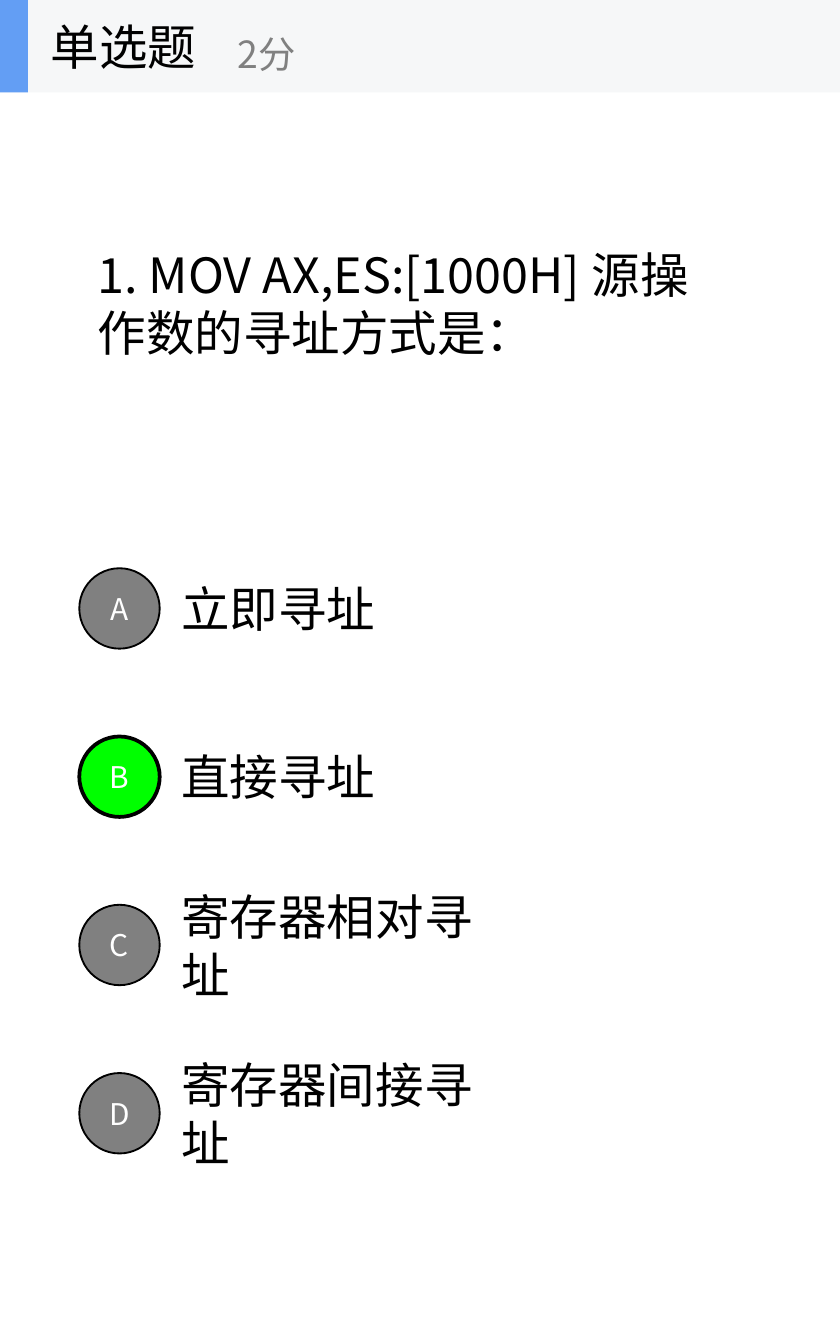
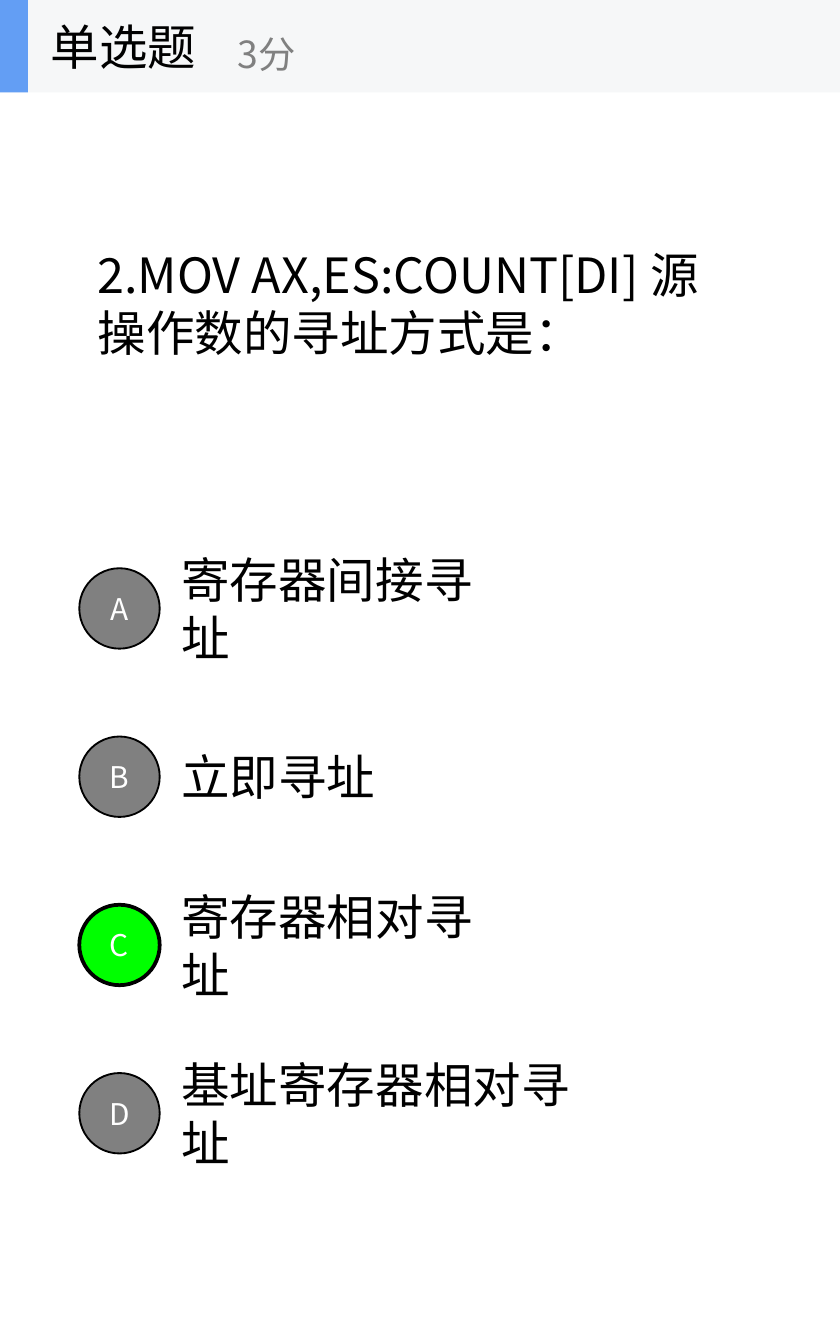
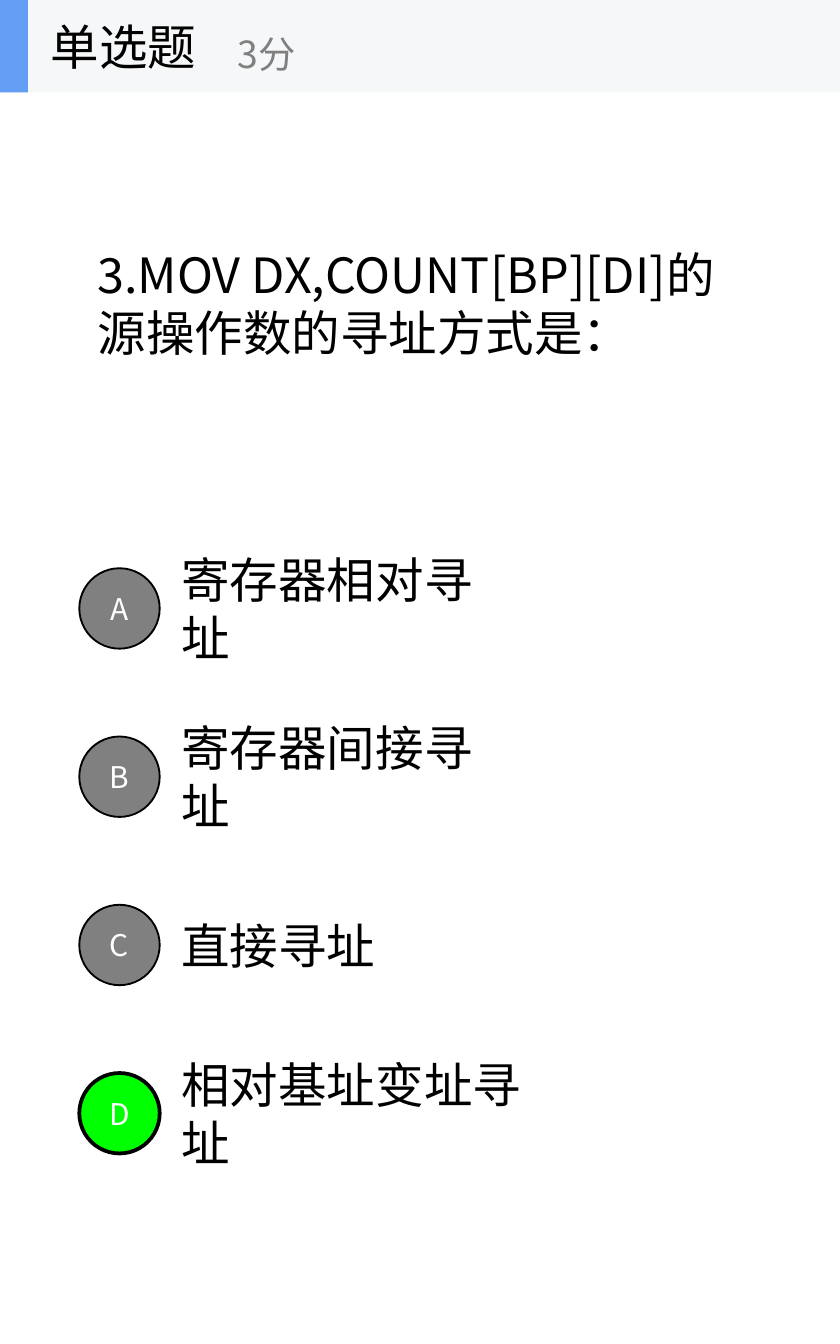
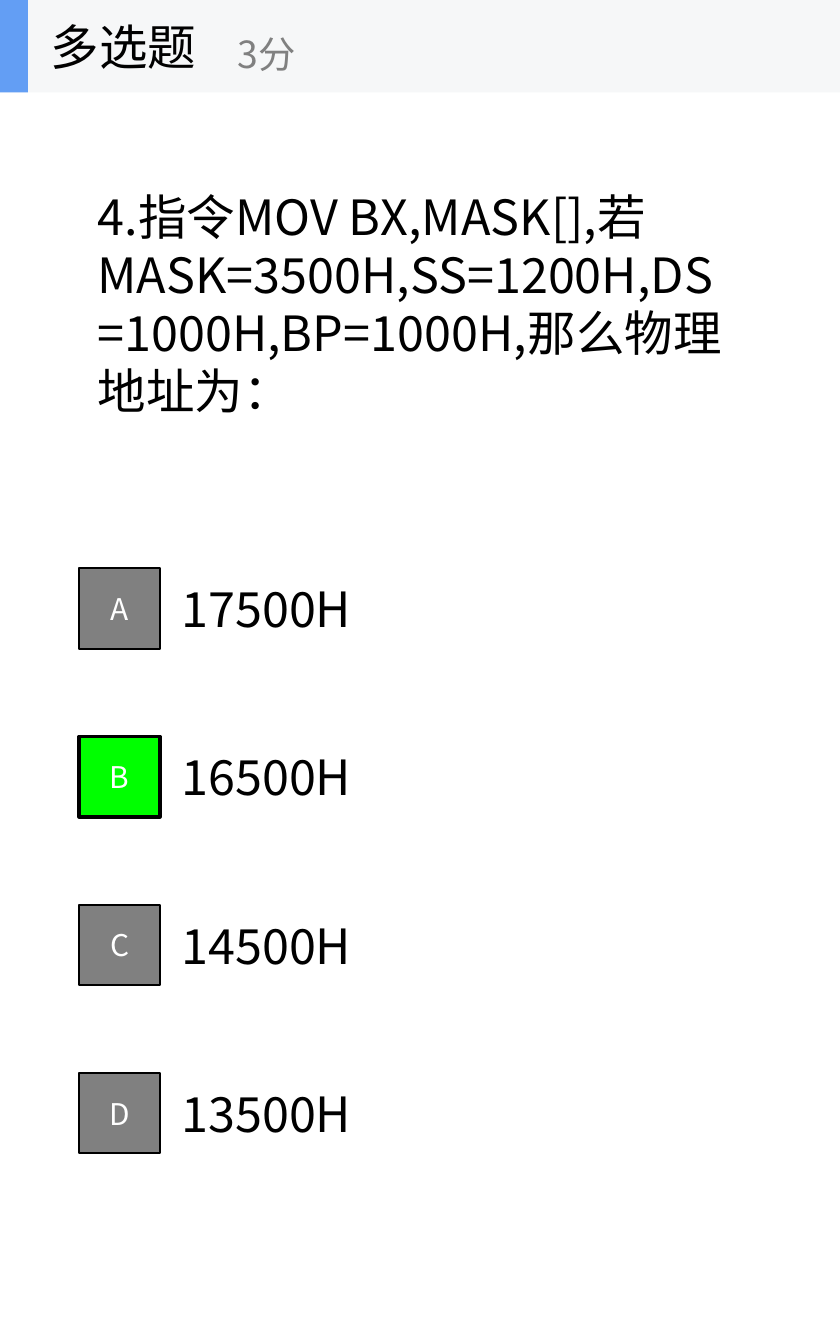
from collections import namedtuple
from dataclasses import dataclass

import pptx
import pptx.dml.color
import pptx.enum.shapes
import pptx.enum.text
import pptx.oxml.ns
import pptx.util
from lxml import etree

Cm = pptx.util.Cm
Pt = pptx.util.Pt
SHAPES = pptx.enum.shapes.MSO_SHAPE
ALIGN = pptx.enum.text.PP_ALIGN
FIT = pptx.enum.text.MSO_AUTO_SIZE

Box = namedtuple("Box", "left top width height")  # centimetres
Question = namedtuple("Question", "kind score stem width lines options answer")


@dataclass(frozen=True)
class Theme:
    """Colours, font and type sizes shared by all slides."""
    font: str = "Noto Sans CJK SC"
    text: str = "000000"
    muted: str = "808080"
    inverse: str = "FFFFFF"
    band: str = "F6F7F8"
    accent: str = "639EF4"
    correct: str = "00FF00"
    body_size: int = 26
    score_size: int = 20
    letter_size: int = 16


THEME = Theme()
PAGE = Box(0, 0, 15.88, 25.4)
HEADER = Box(0, 0, PAGE.width, 1.75)
STEM_AREA = Box(1.59, 1.75, 12.6, 7.96)
OPTION_AREA = Box(1.5, 10.74, 10.5, 12.72)
MARKER_SIZE = 1.52
SINGLE, MULTIPLE = "单选题", "多选题"

QUESTIONS = [
    Question(SINGLE, "2分", "1. MOV AX,ES:[1000H] 源操作数的寻址方式是：", 12.4, 2,
             ["立即寻址", "直接寻址", "寄存器相对寻址", "寄存器间接寻址"], "B"),
    Question(SINGLE, "3分", "2.MOV AX,ES:COUNT[DI] 源操作数的寻址方式是：", 12.57, 2,
             ["寄存器间接寻址", "立即寻址", "寄存器相对寻址", "基址寄存器相对寻址"], "C"),
    Question(SINGLE, "3分", "3.MOV DX,COUNT[BP][DI]的源操作数的寻址方式是：", 12.6, 2,
             ["寄存器相对寻址", "寄存器间接寻址", "直接寻址", "相对基址变址寻址"], "D"),
    Question(MULTIPLE, "3分",
             "4.指令MOV BX,MASK[],若MASK=3500H,SS=1200H,DS=1000H,"
             "BP=1000H,那么物理地址为：", 12.45, 4,
             ["17500H", "16500H", "14500H", "13500H"], "B"),
]


def lengths(box):
    """Convert a box in centimetres to four lengths."""
    return [Cm(value) for value in box]


def rgb(colour):
    """Turn a hex string into a colour."""
    return pptx.dml.color.RGBColor.from_string(colour)


def write(shape, text, size, colour, align=ALIGN.LEFT, wrap=True, fit=FIT.NONE):
    """Set a shape's text, centred vertically, in the theme font."""
    frame = shape.text_frame
    frame.text = text
    frame.word_wrap = wrap
    frame.auto_size = fit
    frame.vertical_anchor = pptx.enum.text.MSO_ANCHOR.MIDDLE
    paragraph = frame.paragraphs[0]
    paragraph.alignment = align
    for run in paragraph.runs:
        run.font.name = THEME.font
        run.font.size = Pt(size)
        run.font.color.rgb = rgb(colour)
        east_asian = etree.SubElement(run.font._element, pptx.oxml.ns.qn("a:ea"))
        east_asian.set("typeface", THEME.font)


def add_filled(shapes, preset, box, fill, line_width=0):
    """Add a flat filled shape, outlined only when a line width is given."""
    shape = shapes.add_shape(preset, *lengths(box))
    shape.shadow.inherit = False
    shape.fill.solid()
    shape.fill.fore_color.rgb = rgb(fill)
    if line_width:
        shape.line.color.rgb = rgb(THEME.text)
        shape.line.width = Pt(line_width)
    else:
        shape.line.fill.background()
    return shape


def add_header(slide, box, kind, score):
    """Group the band, its accent, the question type and the score."""
    parts = slide.shapes.add_group_shape().shapes
    add_filled(parts, SHAPES.RECTANGLE, box, THEME.band)
    add_filled(parts, SHAPES.RECTANGLE, box._replace(width=0.53), THEME.accent)
    kind_label = parts.add_textbox(
        *lengths(Box(box.left + 0.71, box.top, 5.28, box.height)))
    write(kind_label, kind, THEME.body_size, THEME.text, wrap=False)
    score_label = parts.add_textbox(
        *lengths(Box(box.left + 4.24, box.top + 0.3, 6.35, box.height - 0.33)))
    write(score_label, score, THEME.score_size, THEME.muted, wrap=False)


def add_stem(slide, box, question):
    """Place the question in the title, centred vertically in the box."""
    height = 0.22 + 1.12 * question.lines
    top = box.top + (box.height - height) / 2
    stem = slide.shapes.title
    stem.left, stem.top, stem.width, stem.height = lengths(
        Box(box.left, top, question.width, height))
    write(stem, question.stem, THEME.body_size, THEME.text,
          fit=FIT.SHAPE_TO_FIT_TEXT)


def add_option(slide, box, letter, answer_text, preset, is_correct):
    """Place one answer and its lettered marker in a row."""
    width = 0.55 + sum(0.56 if char.isascii() else 0.91 for char in answer_text)
    answer = slide.shapes.add_textbox(
        *lengths(Box(box.left + 1.68, box.top + 0.08, width, 1.35)))
    write(answer, answer_text, THEME.body_size, THEME.text,
          fit=FIT.SHAPE_TO_FIT_TEXT)
    marker = add_filled(
        slide.shapes, preset, Box(box.left, box.top, MARKER_SIZE, MARKER_SIZE),
        THEME.correct if is_correct else THEME.muted, 2 if is_correct else 1)
    write(marker, letter, THEME.letter_size, THEME.inverse, ALIGN.CENTER)


def add_options(slide, box, question):
    """Stack the answers in equal rows; circles mean a single choice."""
    preset = SHAPES.OVAL if question.kind == SINGLE else SHAPES.RECTANGLE
    row_height = box.height / len(question.options)
    for index, (letter, answer_text) in enumerate(zip("ABCD", question.options)):
        row = box._replace(top=box.top + index * row_height, height=row_height)
        add_option(slide, row, letter, answer_text, preset,
                   letter in question.answer)


def add_question_slide(deck, question):
    """Build one quiz slide."""
    slide = deck.slides.add_slide(deck.slide_layouts.get_by_name("Title Only"))
    add_stem(slide, STEM_AREA, question)
    add_options(slide, OPTION_AREA, question)
    add_header(slide, HEADER, question.kind, question.score)


def main():
    """Build and save the quiz."""
    deck = pptx.Presentation()
    deck.slide_width, deck.slide_height = Cm(PAGE.width), Cm(PAGE.height)
    for question in QUESTIONS:
        add_question_slide(deck, question)
    deck.save("out.pptx")


main()
